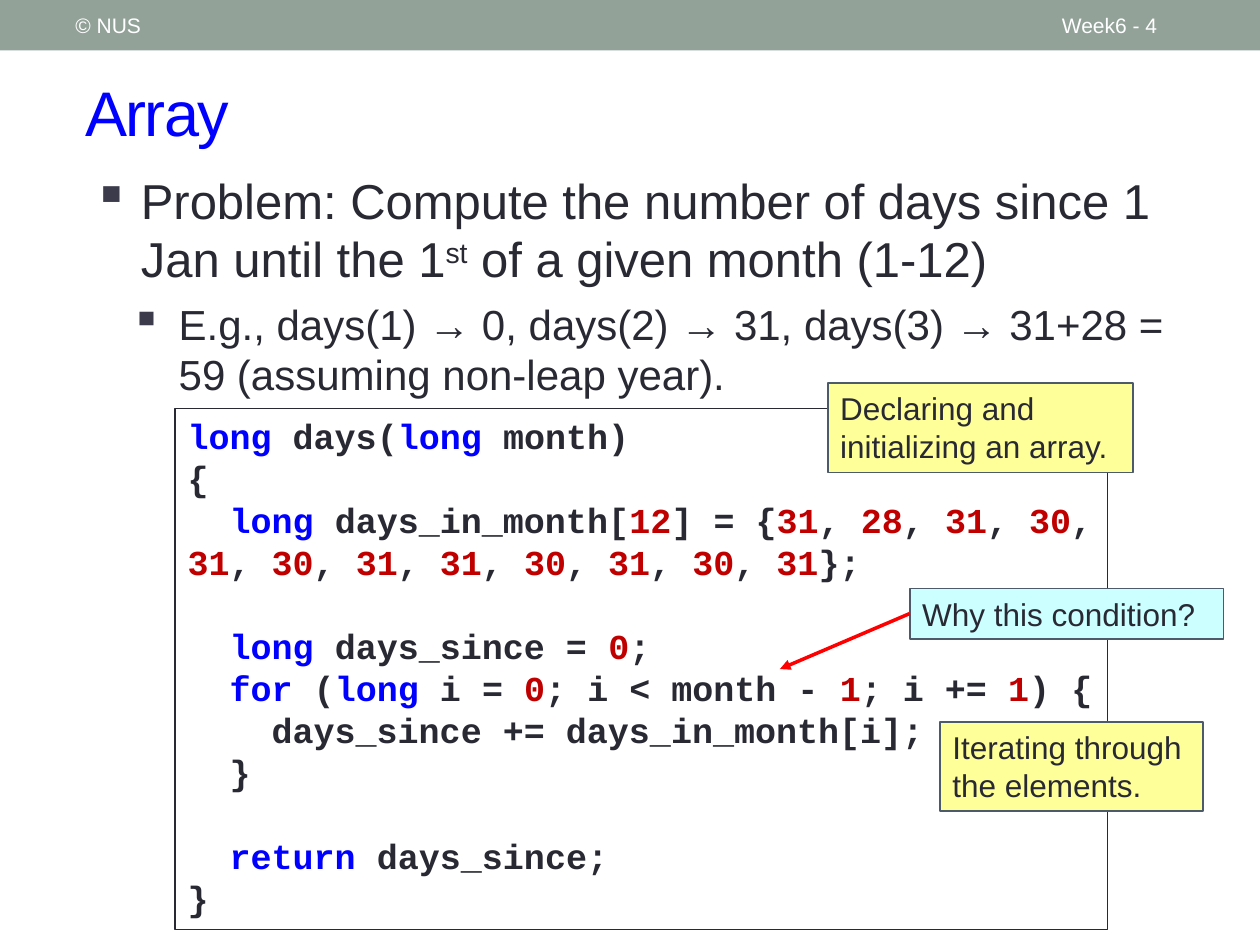
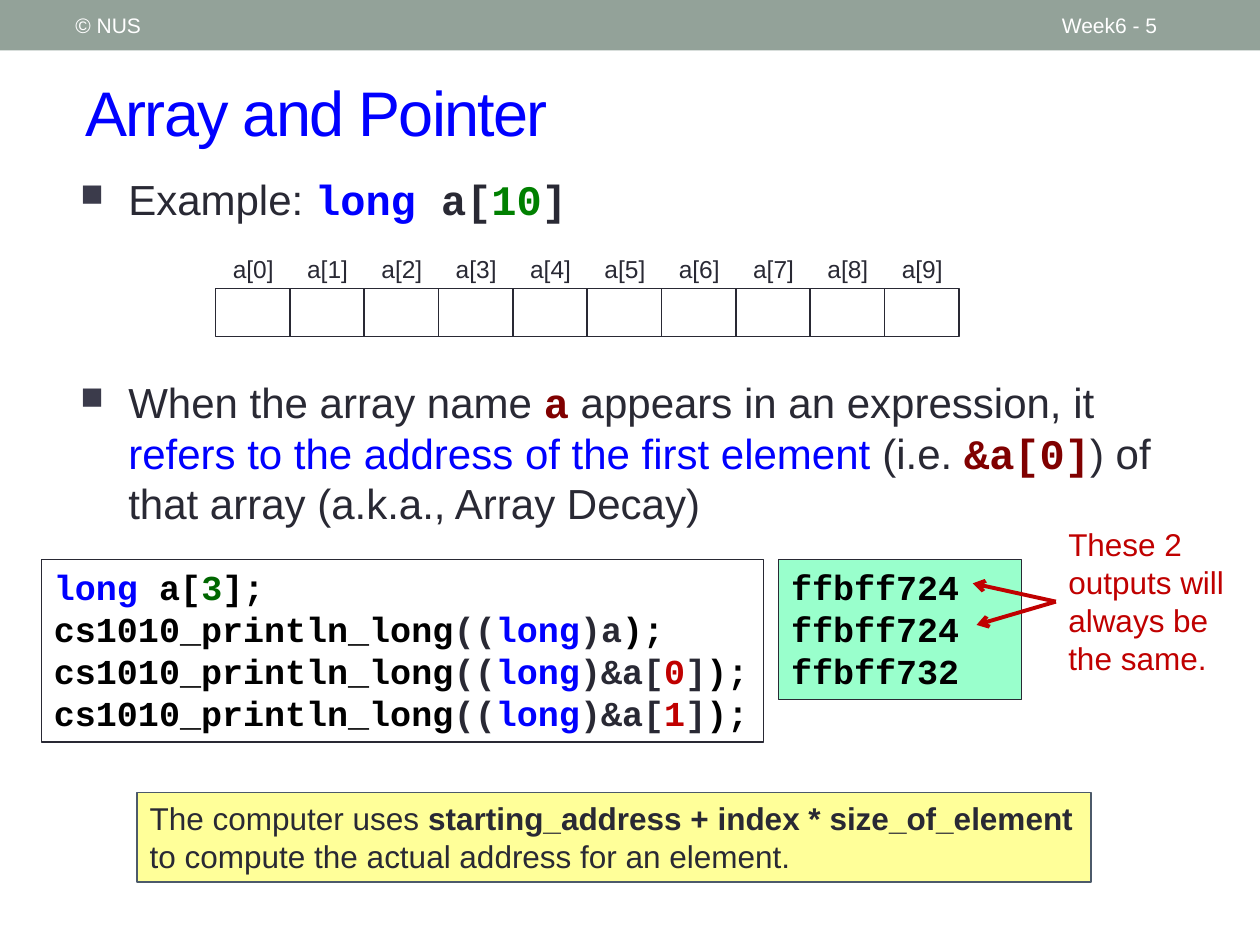
from dataclasses import dataclass, field
from typing import NamedTuple

from lxml.etree import SubElement
from pptx import Presentation
from pptx.dml.color import RGBColor
from pptx.enum.shapes import MSO_CONNECTOR, MSO_SHAPE
from pptx.enum.text import MSO_ANCHOR, PP_ALIGN
from pptx.oxml.ns import qn
from pptx.util import Inches, Pt

INK, BLUE, RED, BLACK, WHITE = "292934", "0000FF", "C00000", "000000", "FFFFFF"
BAND, BULLET, BORDER = "93A299", "3B3B4B", "4C5A6A"
YELLOW, CYAN, MINT = "FFFF99", "CCFFFF", "99FFCC"
SANS, MONO = "Arial", "Courier New"

# Text is split at "|"; the first letter of a piece may be one of these marks.
MARKS = {
    "$": {"color": BLUE},
    "#": {"color": RED},
    "@": {"color": BLACK},
    "?": {"color": "006600"},
    "^": {"baseline": "30000"},
    "*": {"bold": True},
    "~": {"name": MONO, "bold": True},
    "!": {"name": MONO, "bold": True, "color": "800000"},
    ">": {"name": MONO, "bold": True, "color": BLUE},
    "%": {"name": MONO, "bold": True, "color": "008000"},
}

TITLE = {"size": Pt(36), "color": BLUE, "spc": "-100"}
BAND_TEXT = {"size": Pt(12), "color": WHITE}
NOTE = {"size": Pt(18)}
CODE = {"size": Pt(20), "name": MONO, "bold": True}
LABEL = {"size": Pt(14)}
POINT = {"size": Pt(24)}
CODE_LINE = Pt(24)


class Area(NamedTuple):
    left: float
    top: float
    width: float
    height: float

    def lengths(self) -> list:
        return [Inches(value) for value in self]


@dataclass
class Line:
    text: str
    style: dict = field(default_factory=dict)
    before: int = 0
    bullet: str = ""
    bullet_size: int = 100
    indent: float = 0.38


@dataclass
class Panel:
    area: Area
    lines: list
    style: dict
    fill: str = ""
    border: str = ""
    border_width: float = 1


@dataclass
class Arrow:
    start: tuple
    end: tuple
    color: str
    width: float
    head: str


def rgb(color: str) -> RGBColor:
    return RGBColor.from_string(color)


def add_spans(para, text: str, style: dict) -> None:
    for piece in text.split("|"):
        mark = MARKS.get(piece[0], {})
        look = {"name": SANS, "bold": False, "color": INK, **style, **mark}
        span = para.add_run()
        span.text = piece[1:] if mark else piece
        span.font.color.rgb = rgb(look.pop("color"))
        for name in ("spc", "baseline"):
            if name in look:
                span._r.get_or_add_rPr().set(name, look.pop(name))
        for name, value in look.items():
            setattr(span.font, name, value)


def add_bullet(para, line: Line) -> None:
    properties = para._p.get_or_add_pPr()
    properties.set("marL", str(Inches(line.indent)))
    properties.set("indent", str(-Inches(0.38)))
    color = SubElement(properties, qn("a:buClr"))
    SubElement(color, qn("a:srgbClr"), val=BULLET)
    SubElement(properties, qn("a:buSzPct"), val=str(line.bullet_size * 1000))
    SubElement(properties, qn("a:buChar"), char=line.bullet)


def write(box, lines: list, style: dict, align=PP_ALIGN.LEFT, anchor=MSO_ANCHOR.TOP) -> None:
    frame = box.text_frame
    frame.word_wrap = True
    frame.vertical_anchor = anchor
    for index, line in enumerate(lines):
        para = frame.add_paragraph() if index else frame.paragraphs[0]
        para.alignment = align
        if line.before:
            para.space_before = line.before
        if line.bullet:
            add_bullet(para, line)
        add_spans(para, line.text, {**style, **line.style})


def add_text(page, area: Area, lines: list, style: dict, **layout):
    box = page.shapes.add_textbox(*area.lengths())
    write(box, lines, style, **layout)
    return box


def add_rectangle(page, area: Area, fill: str = "", border: str = "", width: float = 1):
    box = page.shapes.add_shape(MSO_SHAPE.RECTANGLE, *area.lengths())
    box.shadow.inherit = False
    for paint, color in ((box.fill, fill), (box.line.fill, border)):
        if color:
            paint.solid()
            paint.fore_color.rgb = rgb(color)
        else:
            paint.background()
    if border:
        box.line.width = Pt(width)
    return box


def add_panel(page, panel: Panel):
    box = add_rectangle(page, panel.area, panel.fill, panel.border, panel.border_width)
    write(box, panel.lines, panel.style)
    return box


def add_arrow(page, arrow: Arrow, source) -> None:
    """Draw an arrow from the middle of the source's left side."""
    points = [Inches(value) for value in (*arrow.start, *arrow.end)]
    connector = page.shapes.add_connector(MSO_CONNECTOR.STRAIGHT, *points)
    connector.begin_connect(source, 1)
    connector.line.color.rgb = rgb(arrow.color)
    connector.line.width = Pt(arrow.width)
    SubElement(connector.line._get_or_add_ln(), qn("a:tailEnd"), type=arrow.head)
    SubElement(connector._element.spPr, qn("a:effectLst"))


def note(area: Area, text: str, fill: str = YELLOW) -> Panel:
    return Panel(area, [Line(text)], NOTE, fill, BORDER)


def add_page(deck, title: str, number: int):
    page = deck.slides.add_slide(deck.slide_layouts[6])
    add_rectangle(page, Area(0, 0, 10, 0.4), BAND)
    for area, text, style in (
        (Area(0.58, 0.42, 9.17, 0.92), title, TITLE),
        (Area(8.33, 0.02, 1.17, 0.36), f"Week6 - {number}", BAND_TEXT),
        (Area(0.5, 0.02, 3.17, 0.36), "© NUS", BAND_TEXT),
    ):
        add_text(page, area, [Line(text)], style, anchor=MSO_ANCHOR.MIDDLE)
    return page


def build_array_page(deck) -> None:
    page = add_page(deck, "Array", 4)
    add_text(page, Area(0.64, 1.3, 9.07, 5.78), [
        Line("Problem: Compute the number of days since 1 Jan until the 1|^st"
             "| of a given month (1-12)", {"size": Pt(28)}, bullet="▪"),
        Line("E.g., days(1) → 0, days(2) → 31, days(3) → 31+28 = 59 "
             "(assuming non-leap year).", before=Pt(6), bullet="▪", indent=0.68),
    ], POINT)

    month_lengths = (31, 28, 31, 30, 31, 30, 31, 31, 30, 31, 30, 31)
    values = "|, |".join(f"#{days}" for days in month_lengths)
    add_panel(page, Panel(Area(1.39, 3.24, 7.4, 4.14), [
        Line("$long| days(|$long| month)"),
        Line("{"),
        Line("  |$long| days_in_month[|#12|] = {|" + values + "|};"),
        Line("  |$long| days_since = |#0|;", before=CODE_LINE),
        Line("  |$for| (|$long| i = |#0|; i < month - |#1|; i += |#1|) {"),
        Line("    days_since += days_in_month[i];"),
        Line("  }"),
        Line("  |$return| days_since;", before=CODE_LINE),
        Line("}"),
    ], CODE, border=INK, border_width=0.75))

    question = add_panel(page, note(Area(7.22, 4.67, 2.49, 0.4), "Why this condition?", CYAN))
    add_arrow(page, Arrow((7.22, 4.87), (6.19, 5.31), "FF0000", 2, "triangle"), question)
    add_panel(page, note(Area(6.57, 3.04, 2.42, 0.71), "Declaring and initializing an array."))
    add_panel(page, note(Area(7.46, 5.73, 2.09, 0.71), "Iterating through the elements."))


def add_array_cells(page, count: int = 10, left: float = 1.71, width: float = 0.59) -> None:
    for index in range(count):
        cell_left = left + index * width
        add_text(page, Area(cell_left + 0.03, 1.97, 0.54, 0.34), [Line(f"a[{index}]")],
                 LABEL, align=PP_ALIGN.CENTER)
        add_rectangle(page, Area(cell_left, 2.29, width, 0.38), border=INK)


def build_pointer_page(deck) -> None:
    page = add_page(deck, "Array and Pointer", 5)
    for top, height, text in (
        (1.33, 0.73, "Example: |>long |~a[|%10|~]"),
        (2.94, 1.33, "When the array name |!a| appears in an expression, it "
                     "|$refers to the address of the first element |(i.e. |!&a[0]"
                     "|) of that array (a.k.a., Array Decay)"),
    ):
        add_text(page, Area(0.54, top, 8.89, height),
                 [Line(text, bullet="■", bullet_size=75)], POINT)
    add_array_cells(page)

    arguments = ("a", "&a[|#0|]", "&a[|#1|]")
    calls = [Line(f"@cs1010_println_long|((|$long|){argument}|@);") for argument in arguments]
    add_panel(page, Panel(Area(0.33, 4.44, 5.73, 1.45),
                          [Line("$long|@ a[|?3|@];"), *calls], CODE, WHITE, INK, 0.75))
    outputs = [Line(f"@{address}") for address in ("ffbff724", "ffbff724", "ffbff732")]
    add_panel(page, Panel(Area(6.18, 4.44, 1.93, 1.11), outputs, CODE, MINT, INK, 0.75))

    remark = add_text(page, Area(8.38, 4.12, 1.45, 1.31),
                      [Line("#These 2 outputs will always be the same.")], NOTE)
    for end in ((7.72, 4.63), (7.75, 4.96)):
        add_arrow(page, Arrow((8.38, 4.79), end, RED, 2.25, "arrow"), remark)
    add_panel(page, note(
        Area(1.09, 6.29, 7.57, 0.71),
        "The computer uses |*starting_address + index * size_of_element"
        "| to compute the actual address for an element."))


def main() -> None:
    deck = Presentation()
    deck.slide_width, deck.slide_height = Inches(10), Inches(7.5)
    build_array_page(deck)
    build_pointer_page(deck)
    deck.save("out.pptx")


if __name__ == "__main__":
    main()
